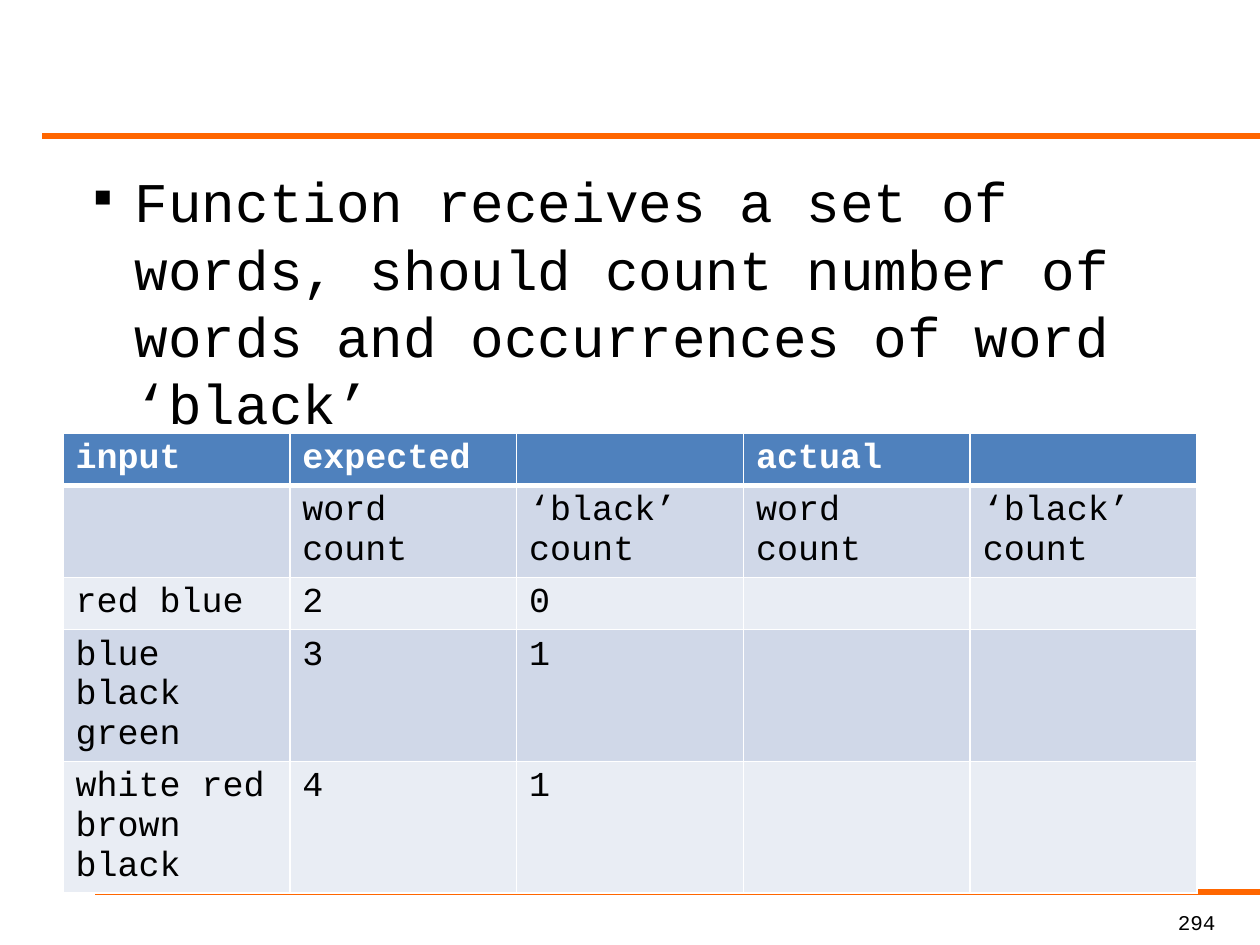
from dataclasses import dataclass

from lxml import etree
from pptx import Presentation
from pptx.dml.color import RGBColor
from pptx.enum.shapes import MSO_CONNECTOR
from pptx.enum.text import MSO_ANCHOR, MSO_AUTO_SIZE, PP_ALIGN
from pptx.oxml.ns import qn
from pptx.util import Emu, Pt

STRAIGHT = MSO_CONNECTOR.STRAIGHT
TOP = MSO_ANCHOR.TOP
NO_AUTOFIT = MSO_AUTO_SIZE.NONE
LEFT, RIGHT = PP_ALIGN.LEFT, PP_ALIGN.RIGHT
PX_PER_INCH = 126
EMU_PER_INCH = 914400


@dataclass(frozen=True)
class Theme:
    font: str = "Courier New"
    text: str = "000000"
    white: str = "FFFFFF"
    rule: str = "FF6600"
    header: str = "4F81BD"
    bands: tuple[str, str] = ("D0D8E8", "E9EDF4")
    body_size: int = 32
    table_size: int = 20
    number_size: int = 12


@dataclass(frozen=True)
class Box:
    left: int
    top: int
    width: int
    height: int


@dataclass(frozen=True)
class Rule:
    left: int
    y: int


THEME = Theme()
SLIDE = Box(0, 0, 1260, 945)
BODY = Box(74, 160, 1134, 204)
TABLE = Box(63, 433, 1134, 260)
NUMBER = Box(1039, 903, 189, 42)
RULES = (Rule(42, 136), Rule(95, 892))
BODY_TEXT = ("Function receives a set of words, should count number of "
             "words and occurrences of word ‘black’")
ROWS = (
    ("input", "expected", "", "actual", ""),
    ("", "word count", "‘black’ count", "word count", "‘black’ count"),
    ("red blue", "2", "0", "", ""),
    ("blue black green", "3", "1", "", ""),
    ("white red brown black", "4", "1", "", ""),
)


def px(value: int) -> Emu:
    return Emu(round(value * EMU_PER_INCH / PX_PER_INCH))


def bounds(box: Box) -> tuple[Emu, ...]:
    return px(box.left), px(box.top), px(box.width), px(box.height)


def set_values(target, values: dict) -> None:
    for name, value in values.items():
        setattr(target, name, value)


def set_font(font, size: int, color: str = THEME.text, bold: bool = False) -> None:
    set_values(font, {"name": THEME.font, "size": Pt(size), "bold": bold})
    font.color.rgb = RGBColor.from_string(color)


def add_rule(slide, rule: Rule) -> None:
    connector = slide.shapes.add_connector(
        STRAIGHT, px(SLIDE.width), px(rule.y), px(rule.left), px(rule.y))
    connector.line.color.rgb = RGBColor.from_string(THEME.rule)
    connector.line.width = Pt(3)
    etree.SubElement(connector.element.spPr, qn("a:effectLst"))


def add_bullet(paragraph, character: str, indent: int) -> None:
    properties = paragraph._p.get_or_add_pPr()
    properties.set("marL", str(px(indent)))
    properties.set("indent", str(-px(indent)))
    color = etree.SubElement(properties, qn("a:buClr"))
    etree.SubElement(color, qn("a:srgbClr"), val=THEME.text)
    etree.SubElement(properties, qn("a:buFont"), typeface=THEME.font)
    etree.SubElement(properties, qn("a:buChar"), char=character)


def fill_body(shape) -> None:
    left, top, width, height = bounds(BODY)
    set_values(shape, {"left": left, "top": top, "width": width, "height": height})
    frame = shape.text_frame
    set_values(frame, {"word_wrap": True, "auto_size": NO_AUTOFIT,
                       "vertical_anchor": TOP, "margin_top": px(7)})
    frame.text = BODY_TEXT
    paragraph = frame.paragraphs[0]
    add_bullet(paragraph, "▪", 48)
    set_values(paragraph, {"alignment": LEFT, "line_spacing": 1.0,
                           "space_before": Pt(0), "space_after": Pt(2)})
    set_font(paragraph.font, THEME.body_size)


def set_borders(cell, bottom_width: int) -> None:
    properties = cell._tc.get_or_add_tcPr()
    widths = {"a:lnL": 1, "a:lnR": 1, "a:lnT": 1, "a:lnB": bottom_width}
    for position, (tag, width) in enumerate(widths.items()):
        line = etree.Element(qn(tag), w=str(Pt(width)))
        fill = etree.SubElement(line, qn("a:solidFill"))
        etree.SubElement(fill, qn("a:srgbClr"), val=THEME.white)
        properties.insert(position, line)


def add_count_table(slide) -> None:
    table = slide.shapes.add_table(len(ROWS), len(ROWS[0]), *bounds(TABLE)).table
    for row_index, values in enumerate(ROWS):
        is_header = row_index == 0
        fill = THEME.header if is_header else THEME.bands[(row_index - 1) % 2]
        color = THEME.white if is_header else THEME.text
        for column_index, value in enumerate(values):
            cell = table.cell(row_index, column_index)
            cell.text = value
            cell.fill.solid()
            cell.fill.fore_color.rgb = RGBColor.from_string(fill)
            set_borders(cell, 3 if is_header else 1)
            set_font(cell.text_frame.paragraphs[0].font,
                     THEME.table_size, color, is_header)


def add_slide_number(slide, number: str) -> None:
    frame = slide.shapes.add_textbox(*bounds(NUMBER)).text_frame
    frame.word_wrap = True
    paragraph = frame.paragraphs[0]
    paragraph.text = number
    paragraph.alignment = RIGHT
    set_font(paragraph.font, THEME.number_size)


def main() -> None:
    presentation = Presentation()
    presentation.slide_width = px(SLIDE.width)
    presentation.slide_height = px(SLIDE.height)
    slide = presentation.slides.add_slide(presentation.slide_layouts[1])

    # The slide has no title
    title = slide.shapes.title.element
    title.getparent().remove(title)

    # Bulleted task
    fill_body(slide.placeholders[1])

    # Orange rules, with the table over the lower one
    for rule in RULES:
        add_rule(slide, rule)
    add_count_table(slide)

    # Footer
    add_slide_number(slide, "294")
    presentation.save("out.pptx")


if __name__ == "__main__":
    main()
